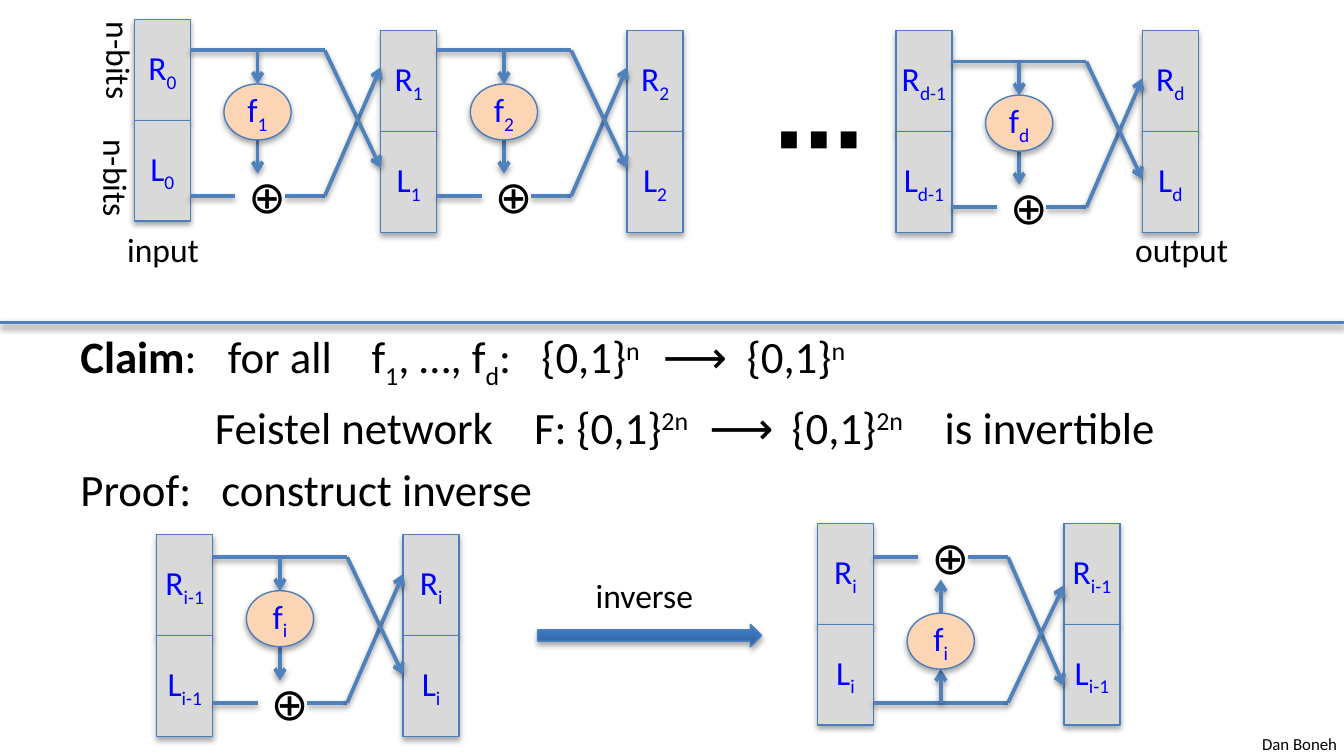
from copy import deepcopy
from dataclasses import dataclass
from typing import NamedTuple

from lxml.etree import SubElement
from pptx import Presentation
from pptx.dml.color import RGBColor
from pptx.enum.shapes import MSO_CONNECTOR, MSO_SHAPE
from pptx.enum.text import MSO_ANCHOR, MSO_AUTO_SIZE, PP_ALIGN
from pptx.oxml.ns import qn
from pptx.util import Pt

FONT = "Calibri"
BLACK, BLUE, GRAY, PEACH = "000000", "0000FF", "D9D9D9", "FCD5B5"
OUTLINE, WIRE = "4B7EBC", "4F81BD"
SUBSCRIPT, SUPERSCRIPT = -25, 30
BOX_WIDTH, BOX_HEIGHT, COLUMN_STEP, WIRE_GAP = 30, 54, 132, 78


class Piece(NamedTuple):
    text: str
    baseline: int = 0
    bold: bool = False


class Column(NamedTuple):
    left: float
    top: float
    index: str


class Label(NamedTuple):
    text: str
    left: float
    top: float
    width: float
    height: float = 29
    size: float = 18
    bold: bool = False
    rotation: float = 0


class Line(NamedTuple):
    pieces: list[Piece]
    tab_stops: list[float]


@dataclass
class Round:
    left: float
    wire: float
    index: str
    inverted: bool = False

    def height_at(self, offset: float) -> float:
        """Vertical place of an offset from the wire that feeds f."""
        return self.wire + (WIRE_GAP - offset if self.inverted else offset)


def color(value: str) -> RGBColor:
    return RGBColor.from_string(value)


def add_shadow(shape, distance: float, opacity: int) -> None:
    properties = shape._element.spPr
    effects = properties.find(qn("a:effectLst"))
    if effects is None:
        effects = SubElement(properties, qn("a:effectLst"))
    shadow = SubElement(effects, qn("a:outerShdw"), blurRad=str(Pt(3.1)), dist=str(Pt(distance)),
                        dir="5400000", rotWithShape="0")
    tint = SubElement(shadow, qn("a:srgbClr"), val=BLACK)
    SubElement(tint, qn("a:alpha"), val=str(opacity * 1000))


def set_font(paragraph, size: float, value: str) -> None:
    paragraph.font.name = FONT
    paragraph.font.size = Pt(size)
    paragraph.font.color.rgb = color(value)


def add_pieces(paragraph, pieces: list[Piece]) -> None:
    for piece in pieces:
        run = paragraph.add_run()
        run.text = piece.text
        if piece.bold:
            run.font.bold = True
        if piece.baseline:
            run.font._element.set("baseline", str(piece.baseline * 1000))


def add_block(slide, kind, left: float, top: float, width: float, height: float, fill: str):
    shape = slide.shapes.add_shape(kind, Pt(left), Pt(top), Pt(width), Pt(height))
    shape.shadow.inherit = False
    shape.fill.solid()
    shape.fill.fore_color.rgb = color(fill)
    shape.line.color.rgb = color(OUTLINE)
    shape.line.width = Pt(0.75)
    add_shadow(shape, 1.8, 35)
    return shape


def add_node(slide, kind, left: float, top: float, width: float, height: float,
             fill: str, letter: str, index: str) -> None:
    shape = add_block(slide, kind, left, top, width, height, fill)
    frame = shape.text_frame
    frame.margin_left = frame.margin_right = 0
    frame.vertical_anchor = MSO_ANCHOR.MIDDLE
    paragraph = frame.paragraphs[0]
    paragraph.alignment = PP_ALIGN.CENTER
    set_font(paragraph, 18, BLUE)
    add_pieces(paragraph, [Piece(letter), Piece(index, SUBSCRIPT)])


def add_wire(slide, x1: float, y1: float, x2: float, y2: float, arrow: bool = False) -> None:
    connector = slide.shapes.add_connector(MSO_CONNECTOR.STRAIGHT, Pt(x1), Pt(y1), Pt(x2), Pt(y2))
    connector.line.color.rgb = color(WIRE)
    connector.line.width = Pt(2)
    if arrow:
        SubElement(connector.line._get_or_add_ln(), qn("a:tailEnd"), type="arrow")
    add_shadow(connector, 1.6, 38)


def add_label(slide, label: Label) -> None:
    box = slide.shapes.add_textbox(Pt(label.left), Pt(label.top), Pt(label.width), Pt(label.height))
    box.rotation = label.rotation
    box.text_frame.word_wrap = False
    box.text_frame.auto_size = MSO_AUTO_SIZE.SHAPE_TO_FIT_TEXT
    paragraph = box.text_frame.paragraphs[0]
    set_font(paragraph, label.size, BLACK)
    add_pieces(paragraph, [Piece(label.text, bold=label.bold)])


def add_column(slide, column: Column) -> None:
    for row, letter in enumerate("RL"):
        add_node(slide, MSO_SHAPE.RECTANGLE, column.left, column.top + row * BOX_HEIGHT,
                 BOX_WIDTH, BOX_HEIGHT, GRAY, letter, column.index)


def add_round(slide, stage: Round) -> None:
    # Offsets: x from the left column, y from the wire that feeds f
    wires = [
        (30, 0, 102, 0, False), (30, 78, 54, 78, False), (80.5, 78, 102, 78, False),
        (102, 78, 132, 9, True), (102, 0, 132, 63, True),
        (66, 0, 66, 18, True), (66, 48, 66, 66, True),
    ]
    for x1, y1, x2, y2, arrow in wires:
        add_wire(slide, stage.left + x1, stage.height_at(y1), stage.left + x2, stage.height_at(y2), arrow)
    add_node(slide, MSO_SHAPE.OVAL, stage.left + 48, stage.height_at(33) - 15, 36, 30,
             PEACH, "f", stage.index)
    add_label(slide, Label("⊕", stage.left + 54, stage.height_at(WIRE_GAP) - 18, 26.5, 36, 24))


def add_statement(slide, lines: list[Line]) -> None:
    frame = slide.shapes.add_textbox(Pt(36), Pt(172.8), Pt(648), Pt(108)).text_frame
    frame.word_wrap = True
    for number, line in enumerate(lines):
        paragraph = frame.add_paragraph() if number else frame.paragraphs[0]
        tabs = SubElement(paragraph._p.get_or_add_pPr(), qn("a:tabLst"))
        for stop in line.tab_stops:
            SubElement(tabs, qn("a:tab"), pos=str(Pt(stop)), algn="l")
        if number:
            paragraph.space_before = Pt(4.8)
        set_font(paragraph, 24, BLACK)
        add_pieces(paragraph, line.pieces)


def add_inverse_arrow(slide) -> None:
    arrow = add_block(slide, MSO_SHAPE.RIGHT_ARROW, 288, 334.5, 120, 12, WIRE)
    arrow.fill.gradient()
    arrow.fill.gradient_angle = 90
    stop_list = arrow._element.spPr.find(".//" + qn("a:gsLst"))
    stop_list.append(deepcopy(stop_list[-1]))
    gradient = [(0, "2F5F99"), (0.8, "3D7CC7"), (1, "3A7CCB")]
    for stop, (position, value) in zip(arrow.fill.gradient_stops, gradient):
        stop.position = position
        stop.color.rgb = color(value)


COLUMNS = [
    Column(72, 10.5, "0"), Column(204, 16.5, "1"), Column(336, 16.5, "2"),
    Column(480, 16.5, "d-1"), Column(480 + COLUMN_STEP, 16.5, "d"),
    Column(84, 286.5, "i-1"), Column(84 + COLUMN_STEP, 286.5, "i"),
    Column(438, 280.5, "i"), Column(438 + COLUMN_STEP, 280.5, "i-1"),
]
ROUNDS = [
    Round(72, 27, "1"), Round(204, 27, "2"), Round(480, 33, "d"),
    Round(84, 298.5, "i"), Round(438, 298.5, "i", inverted=True),
]
LABELS = [
    Label("n-bits", 35.5, 18.5, 57, rotation=90), Label("n-bits", 34, 81.5, 57, rotation=90),
    Label("input", 61, 119, 54), Label("output", 601, 119, 65),
    Label("⋯", 408, 40.5, 39, 65.5, 48, bold=True),
    Label("inverse", 312, 304.5, 67.5), Label("Dan Boneh", 669, 389.5, 54.5, 18, 9),
]
STATEMENT = [
    Line([Piece("Claim", bold=True), Piece(":\tfor all\tf"), Piece("1", SUBSCRIPT), Piece(", …, f"),
          Piece("d", SUBSCRIPT), Piece(":\t{0,1}"), Piece("n", SUPERSCRIPT), Piece("\t⟶\t{0,1}"),
          Piece("n", SUPERSCRIPT)], [79, 156, 247, 312, 357]),
    Line([Piece("\tFeistel network\tF: {0,1}"), Piece("2n", SUPERSCRIPT), Piece("\t⟶\t{0,1}"),
          Piece("2n", SUPERSCRIPT), Piece("\tis invertible")], [72, 243, 337, 381, 463]),
    Line([Piece("Proof:\tconstruct inverse")], [75.5]),
]


def main() -> None:
    presentation = Presentation()
    presentation.slide_width, presentation.slide_height = Pt(720), Pt(405)
    slide = presentation.slides.add_slide(presentation.slide_layouts[6])

    # Claim and divider
    add_statement(slide, STATEMENT)
    add_wire(slide, 0, 172.8, 720, 172.8)

    # Feistel networks
    for column in COLUMNS:
        add_column(slide, column)
    for stage in ROUNDS:
        add_round(slide, stage)

    # Inverse arrow and captions
    add_inverse_arrow(slide)
    for label in LABELS:
        add_label(slide, label)

    presentation.save("out.pptx")


if __name__ == "__main__":
    main()
